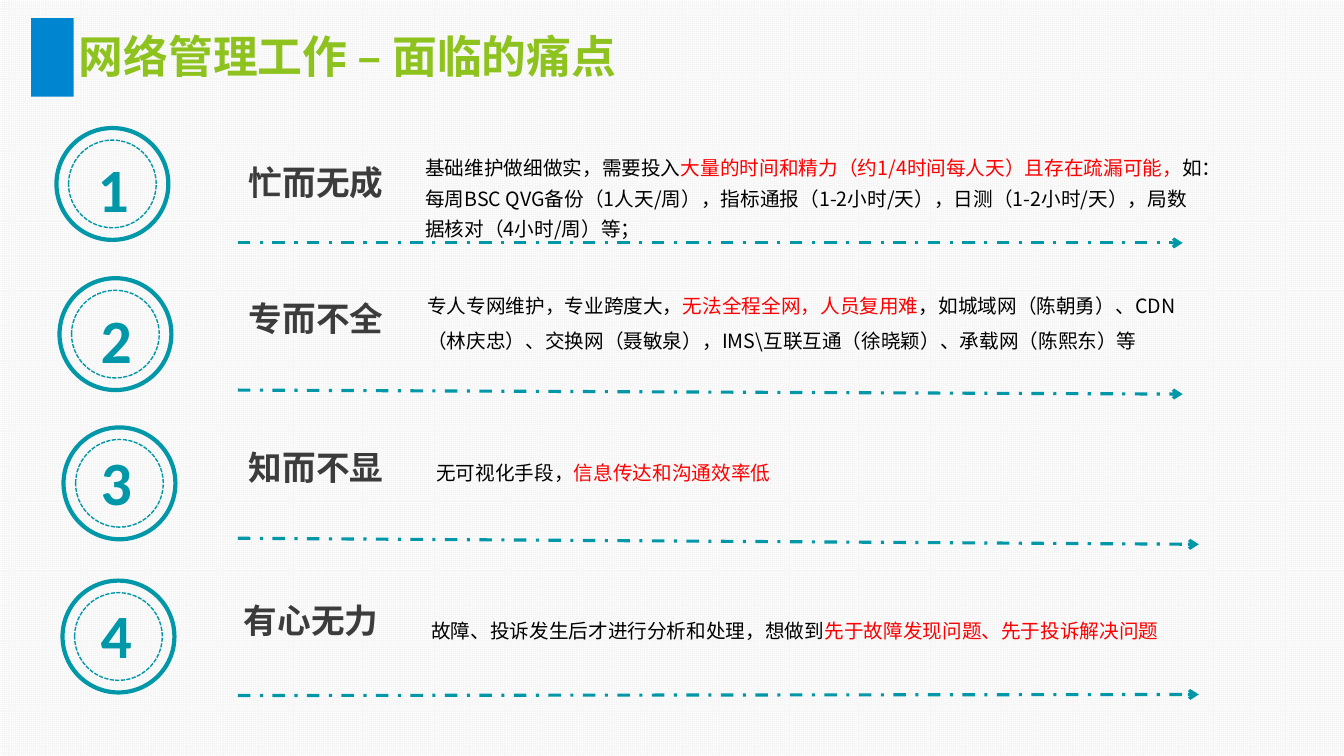
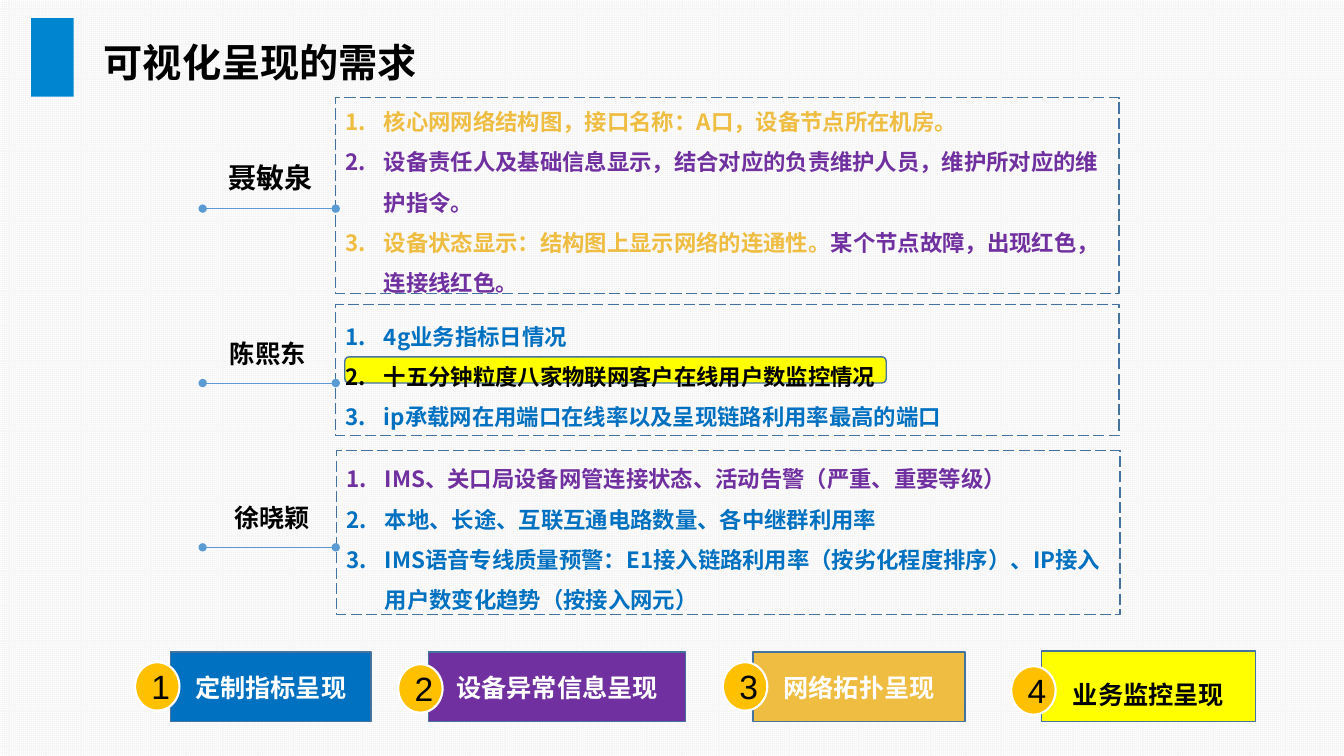
from collections import namedtuple

from pptx import Presentation
from pptx.dml.color import RGBColor
from pptx.enum import dml, shapes, text
from pptx.oxml import ns, xmlchemy
from pptx.util import Inches, Pt

CJK = "Noto Sans CJK SC"
BLACK = RGBColor(0x00, 0x00, 0x00)
WHITE = RGBColor(0xFF, 0xFF, 0xFF)
GRID = RGBColor(0xF6, 0xF6, 0xF6)
BAND = RGBColor(0x00, 0x85, 0xD0)
GREEN = RGBColor(0x8E, 0xC3, 0x1F)
TEAL = RGBColor(0x00, 0x98, 0xA8)
CHARCOAL = RGBColor(0x3C, 0x3C, 0x3C)
RED = RGBColor(0xFF, 0x00, 0x00)
OUTLINE = RGBColor(0x43, 0x73, 0x9E)
LINK = RGBColor(0x5B, 0x9B, 0xD5)
BLUE = RGBColor(0x00, 0x70, 0xC0)
PURPLE = RGBColor(0x70, 0x30, 0xA0)
GOLD = RGBColor(0xEE, 0xBD, 0x42)
AMBER = RGBColor(0xFF, 0xC0, 0x00)
YELLOW = RGBColor(0xFF, 0xFF, 0x00)

CENTER = text.PP_ALIGN.CENTER
LEFT = text.PP_ALIGN.LEFT
GROW = text.MSO_AUTO_SIZE.SHAPE_TO_FIT_TEXT
FIXED = text.MSO_AUTO_SIZE.NONE
RECTANGLE = shapes.MSO_SHAPE.RECTANGLE
OVAL = shapes.MSO_SHAPE.OVAL
ROUNDED = shapes.MSO_SHAPE.ROUNDED_RECTANGLE

Box = namedtuple("Box", "left top width height")
Pain = namedtuple("Pain", "badge digit heading heading_box align body body_box spacing arrow")
Person = namedtuple("Person", "name name_box size box items link_y")
Legend = namedtuple("Legend", "label box fill color spacing badge_drop")

PAINS = [
    Pain((0.56, 1.27), (0.31, 0.18), "忙而无成", Box(2.36, 1.56, 1.55, 0.5), CENTER,
         [("基础维护做细做实，需要投入", BLACK),
          ("大量的时间和精力（约1/4时间每人天）且存在疏漏可能，", RED),
          ("如：每周BSC QVG备份（1人天/周），指标通报（1-2小时/天），"
           "日测（1-2小时/天），局数据核对（4小时/周）等；", BLACK)],
         Box(4.12, 1.43, 7.93, 1.02), 1.3, (2.41, 11.73, 2.41)),
    Pain((0.59, 2.76), (0.31, 0.19), "专而不全", Box(2.36, 2.91, 1.55, 0.5), CENTER,
         [("专人专网维护，专业跨度大，", BLACK),
          ("无法全程全网，人员复用难", RED),
          ("，如城域网（陈朝勇）、CDN（林庆忠）、交换网（聂敏泉），"
           "IMS\\互联互通（徐晓颖）、承载网（陈熙东）等", BLACK)],
         Box(4.14, 2.75, 7.7, 0.81), 1.5, (3.87, 11.73, 3.91)),
    Pain((0.63, 4.24), (0.27, 0.12), "知而不显", Box(2.36, 4.38, 1.55, 0.5), CENTER,
         [("无可视化手段，", BLACK), ("信息传达和沟通效率低", RED)],
         Box(4.23, 4.45, 5.63, 0.38), 1.3, (5.34, 11.89, 5.4)),
    Pain((0.62, 5.76), (0.28, 0.11), "有心无力", Box(2.32, 5.9, 1.55, 0.5), LEFT,
         [("故障、投诉发生后才进行分析和处理，想做到", BLACK),
          ("先于故障发现问题、先于投诉解决问题", RED)],
         Box(4.18, 6.02, 7.74, 0.38), 1.3, (6.9, 11.89, 6.89)),
]

PEOPLE = [
    Person("聂敏泉", Box(2.16, 1.38, 1.04, 0.55), 20, Box(3.33, 0.97, 7.77, 1.94),
           [[("核心网网络结构图，接口名称：A口，设备节点所在机房。", GOLD)],
            [("设备责任人及基础信息显示，结合对应的负责维护人员，维护所对应的维护指令。", PURPLE)],
            [("设备状态显示：结构图上显示网络的连通性。", GOLD),
             ("某个节点故障，出现红色，连接线红色。", PURPLE)]], 2.07),
    Person("陈熙东", Box(2.06, 3.16, 1.19, 0.56), 18, Box(3.33, 3.02, 7.77, 1.3),
           [[("4g业务指标日情况", BLUE)],
            [("十五分钟粒度八家物联网客户在线用户数监控情况", BLACK)],
            [("ip承载网在用端口在线率以及呈现链路利用率最高的端口", BLUE)]], 3.8),
    Person("徐晓颖", Box(2.09, 4.78, 1.22, 0.56), 18, Box(3.34, 4.47, 7.77, 1.63),
           [[("IMS、关口局设备网管连接状态、活动告警（严重、重要等级）", PURPLE)],
            [("本地、长途、互联互通电路数量、各中继群利用率", BLUE)],
            [("IMS语音专线质量预警：E1接入链路利用率（按劣化程度排序）、"
              "IP接入用户数变化趋势（按接入网元）", BLUE)]], 5.43),
]

LEGENDS = [
    Legend("定制指标呈现", Box(1.69, 6.47, 1.99, 0.69), BLUE, WHITE, None, 0.1),
    Legend("设备异常信息呈现", Box(4.25, 6.47, 2.55, 0.69), PURPLE, WHITE, None, 0.12),
    Legend("网络拓扑呈现", Box(7.47, 6.47, 2.1, 0.69), GOLD, WHITE, None, 0.1),
    Legend("业务监控呈现", Box(10.33, 6.46, 2.12, 0.7), YELLOW, BLACK, 1.5, 0.15),
]


def add_element(parent, tag, **attributes):
    element = xmlchemy.OxmlElement(tag)
    for name, value in attributes.items():
        element.set(name, value)
    parent.append(element)


def place(box):
    return [Inches(length) for length in box]


def write_text(shape, paragraphs, size, color=BLACK, font=CJK, bold=True, align=LEFT,
               spacing=None, anchor=text.MSO_ANCHOR.TOP, wrap=True, fit=FIXED,
               numbered=False):
    frame = shape.text_frame
    frame.word_wrap = wrap
    frame.auto_size = fit
    frame.vertical_anchor = anchor
    if isinstance(paragraphs, str):
        paragraphs = [[(paragraphs, color)]]
    for index, runs in enumerate(paragraphs):
        paragraph = frame.add_paragraph() if index else frame.paragraphs[0]
        paragraph.alignment = align
        if spacing:
            paragraph.line_spacing = spacing
        if numbered:
            properties = paragraph._p.get_or_add_pPr()
            properties.set("marL", str(Inches(0.38)))
            properties.set("indent", str(-Inches(0.38)))
            add_element(properties, "a:buFont", typeface="+mj-lt")
            add_element(properties, "a:buAutoNum", type="arabicPeriod")
        for content, run_color in runs:
            run = paragraph.add_run()
            run.text = content
            run.font.size = Pt(size)
            run.font.bold = bold
            run.font.color.rgb = run_color
            run.font.name = font
            properties = run._r.get_or_add_rPr()
            properties.set("lang", "zh-CN")
            add_element(properties, "a:ea", typeface=font)


def add_text(slide, box, content, size, **options):
    shape = slide.shapes.add_textbox(*place(box))
    write_text(shape, content, size, fit=GROW, **options)


def add_shape(slide, kind, box, fill=None, line=None, width=1, dash=None):
    shape = slide.shapes.add_shape(kind, *place(box))
    shape.shadow.inherit = False
    if fill is None:
        shape.fill.background()
    else:
        shape.fill.solid()
        shape.fill.fore_color.rgb = fill
    if line is None:
        shape.line.fill.background()
    else:
        shape.line.color.rgb = line
        shape.line.width = Pt(width)
        shape.line.dash_style = dash
    return shape


def add_line(slide, start, end, color, width, dash=None, head=None, tail=None):
    line = slide.shapes.add_connector(
        shapes.MSO_CONNECTOR.STRAIGHT, *place(start + end))
    line.line.color.rgb = color
    line.line.width = Pt(width)
    line.line.dash_style = dash
    properties = line._element.spPr
    outline = properties.find(ns.qn("a:ln"))
    for tag, kind in (("a:headEnd", head), ("a:tailEnd", tail)):
        if kind:
            add_element(outline, tag, type=kind)
    add_element(properties, "a:effectLst")


def new_slide(presentation, title, box, size, color, wrap):
    slide = presentation.slides.add_slide(presentation.slide_layouts[5])
    add_shape(slide, RECTANGLE, Box(0.31, 0.18, 0.42, 0.78), fill=BAND)
    heading = slide.shapes.title
    heading.left, heading.top, heading.width, heading.height = place(box)
    write_text(heading, title, size, color=color, wrap=wrap)
    return slide


def add_pain_row(slide, number, pain):
    left, top = pain.badge
    add_shape(slide, OVAL, Box(left, top, 1.11, 1.11), line=TEAL, width=3)
    add_shape(slide, OVAL, Box(left + 0.12, top + 0.12, 0.87, 0.87), line=TEAL,
              dash=dml.MSO_LINE.SQUARE_DOT)
    across, down = pain.digit
    add_text(slide, Box(left + across, top + down, 0.51, 0.84), str(number), 44,
             color=TEAL, font="Calibri", wrap=False)
    start_y, end_x, end_y = pain.arrow
    add_line(slide, (2.36, start_y), (end_x, end_y), TEAL, 2.25,
             dash=dml.MSO_LINE.DASH_DOT, tail="arrow")
    add_text(slide, pain.heading_box, pain.heading, 24, color=CHARCOAL,
             align=pain.align, wrap=False)
    add_text(slide, pain.body_box, [pain.body], 14, bold=False, spacing=pain.spacing)


def add_person(slide, person):
    panel = add_shape(slide, RECTANGLE, person.box, line=OUTLINE,
                      dash=dml.MSO_LINE.LONG_DASH)
    write_text(panel, person.items, 16, spacing=1.5, numbered=True,
               anchor=text.MSO_ANCHOR.MIDDLE)
    add_text(slide, person.name_box, person.name, person.size, align=CENTER,
             spacing=1.5)
    add_line(slide, (3.33, person.link_y), (2.01, person.link_y), LINK, 0.5,
             head="oval", tail="oval")


def add_legend(slide, number, legend):
    box = legend.box
    middle = text.MSO_ANCHOR.MIDDLE
    label = add_shape(slide, RECTANGLE, box, fill=legend.fill, line=OUTLINE)
    write_text(label, legend.label, 18, color=legend.color, align=CENTER,
               spacing=legend.spacing, anchor=middle)
    badge_left = box.left - (0.35 if number == 1 else 0.3)
    badge = add_shape(slide, OVAL, Box(badge_left, box.top + legend.badge_drop, 0.44, 0.48),
                      fill=AMBER, line=WHITE, width=1.5)
    write_text(badge, str(number), 24, font="Arial", bold=False, align=CENTER,
               anchor=middle)


def build_pain_slide(presentation):
    slide = new_slide(presentation, "网络管理工作 – 面临的痛点",
                      Box(0.68, 0.23, 8.72, 0.64), 32, GREEN, True)
    for number, pain in enumerate(PAINS, 1):
        add_pain_row(slide, number, pain)


def build_needs_slide(presentation):
    slide = new_slide(presentation, "可视化呈现的需求",
                      Box(0.93, 0.33, 3.34, 0.57), 28, BLACK, False)
    add_shape(slide, ROUNDED, Box(3.42, 3.54, 5.37, 0.26), fill=YELLOW, line=OUTLINE)
    for person in PEOPLE:
        add_person(slide, person)
    for number, legend in enumerate(LEGENDS, 1):
        add_legend(slide, number, legend)


def main():
    presentation = Presentation()
    presentation.slide_width = Inches(13.33)
    presentation.slide_height = Inches(7.5)
    background = presentation.slide_master.background.fill
    background.patterned()
    background.pattern = dml.MSO_PATTERN.SMALL_GRID
    background.fore_color.rgb = GRID
    background.back_color.rgb = WHITE
    build_pain_slide(presentation)
    build_needs_slide(presentation)
    presentation.save("out.pptx")


if __name__ == "__main__":
    main()
